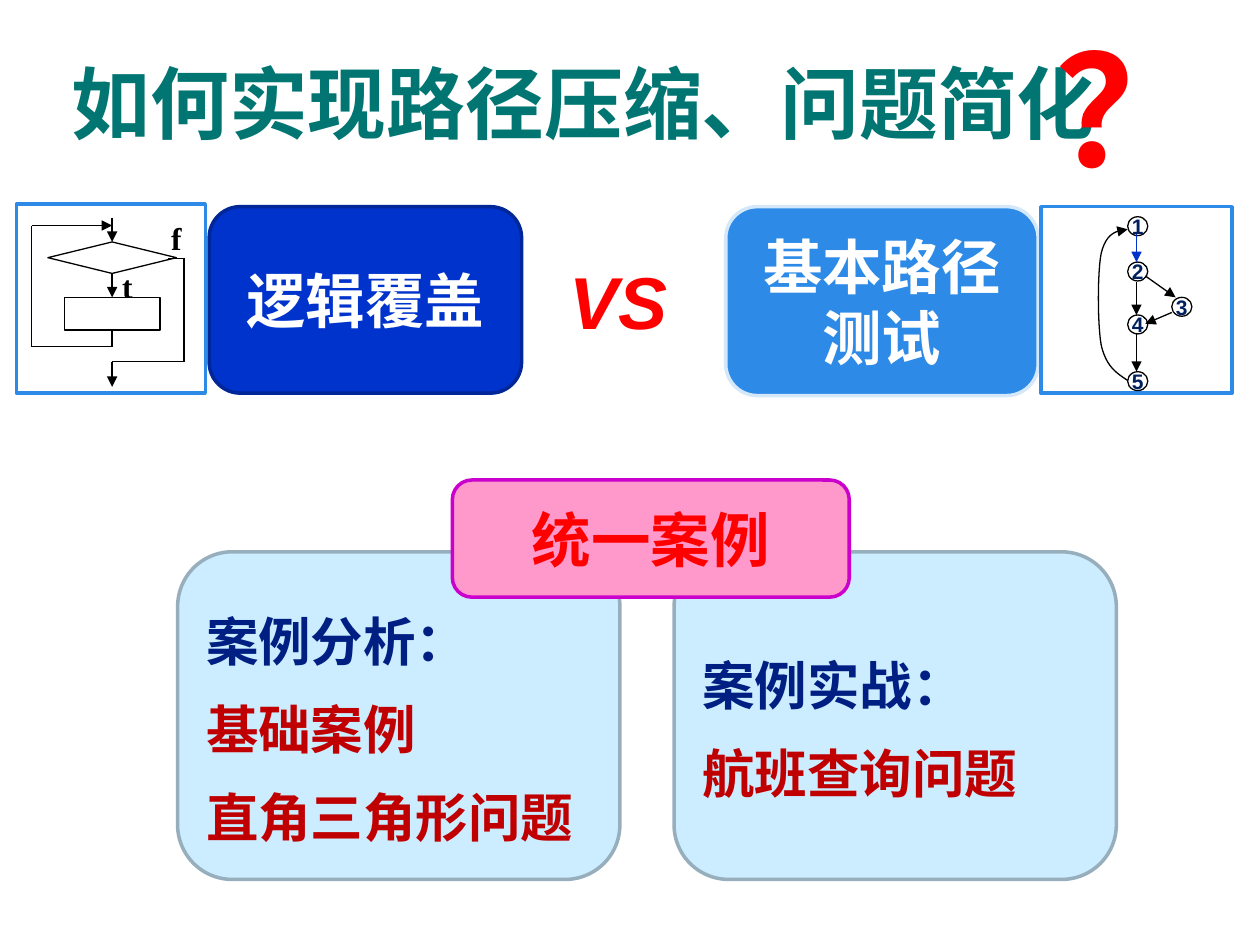
from lxml import etree
from pptx import Presentation
from pptx.dml.color import RGBColor
from pptx.enum.shapes import MSO_CONNECTOR, MSO_SHAPE
from pptx.enum.text import MSO_ANCHOR, PP_ALIGN
from pptx.oxml.ns import qn
from pptx.util import Inches, Pt

ROUND, RECT = MSO_SHAPE.ROUNDED_RECTANGLE, MSO_SHAPE.RECTANGLE
OVAL, CHOICE = MSO_SHAPE.OVAL, MSO_SHAPE.FLOWCHART_DECISION
STRAIGHT = MSO_CONNECTOR.STRAIGHT
TOP, MIDDLE = MSO_ANCHOR.TOP, MSO_ANCHOR.MIDDLE
LEFT, CENTER, JUSTIFY = PP_ALIGN.LEFT, PP_ALIGN.CENTER, PP_ALIGN.JUSTIFY
CJK = "Noto Sans CJK SC"
CELL = Inches(0.1)  # the slide is a grid of 100 columns by 75 rows
THIN, THICK = Pt(0.75), Pt(2)
BLACK, WHITE, RED, BLUE = "000000", "FFFFFF", "FF0000", "2D8AE7"
color = RGBColor.from_string


def put(shapes, kind, box, fill, edge, width=THICK):
    """Add a shape, or a text box when kind is None; box is in grid cells."""
    place = [round(v * CELL) for v in box]
    if kind is None:
        return shapes.add_textbox(*place)
    shape = shapes.add_shape(kind, *place)
    shape.shadow.inherit = False
    if fill:
        shape.fill.solid()
        shape.fill.fore_color.rgb = color(fill)
    else:
        shape.fill.background()
    shape.line.color.rgb = color(edge)
    shape.line.width = width
    return shape


def write(shape, lines, size, name=CJK, align=CENTER, anchor=MIDDLE,
          wrap=True, space=None, slant=False):
    """Fill a shape with bold paragraphs given as (text, colour) pairs."""
    frame = shape.text_frame
    frame.word_wrap, frame.vertical_anchor = wrap, anchor
    style = {"name": name, "size": Pt(size), "bold": True, "italic": slant}
    for i, (text, ink) in enumerate(lines):
        para = frame.add_paragraph() if i else frame.paragraphs[0]
        para.alignment = align
        para.line_spacing = space
        run = para.add_run()
        run.text = text
        for key, value in style.items():
            setattr(run.font, key, value)
        run.font.color.rgb = color(ink)
        etree.SubElement(run._r.get_or_add_rPr(), qn("a:ea"), typeface=CJK)


deck = Presentation()
deck.slide_width, deck.slide_height = 100 * CELL, 75 * CELL
page = deck.slides.add_slide(deck.slide_layouts[6]).shapes

# Heading
title = put(page, None, (4.7, 6, 83.5, 4.2), None, None)
write(title, [("如何实现路径压缩、问题简化", "007572")], 45, align=LEFT, wrap=False)

# Case panels
NAVY, DARK = "001F82", "C00000"
panels = [
    (14.1, [("案例分析：", NAVY), ("基础案例", DARK), ("直角三角形问题", DARK)]),
    (53.5, [("案例实战：", NAVY), ("航班查询问题", DARK)]),
]
for x, lines in panels:
    panel = put(page, ROUND, (x, 43.8, 35.1, 26), "CCECFF", "97AFBD")
    write(panel, lines, 30, "Arial", JUSTIFY, space=1.4)

mark = put(page, None, (82.8, 0.6, 8.7, 15.8), None, None)
write(mark, [("？", RED)], 88, align=LEFT, anchor=TOP)

# Logic coverage and its flow chart
logic = put(page, ROUND, (16.6, 16.4, 24.8, 14.8), "0033CC", "002697")
write(logic, [("逻辑覆盖", WHITE)], 34)
flow = page.add_group_shape().shapes
put(flow, RECT, (1.3, 16.2, 15, 15), WHITE, BLUE)
for text, x, y in [("f", 12.1, 17.3), ("t", 8.2, 21.1)]:
    label = put(flow, RECT, (x, y, 3.8, 3.2), WHITE, WHITE, THIN)
    write(label, [(text, BLACK)], 18, "Times New Roman", wrap=False)
put(flow, CHOICE, (3.8, 19.2, 10.2, 2.5), WHITE, BLACK, THIN)
put(flow, RECT, (5.1, 23.6, 7.6, 2.6), WHITE, BLACK, THIN)

# Basis path testing and its flow graph
basis = put(page, ROUND, (57.6, 16.4, 24.8, 15), BLUE, "D5E8FA")
write(basis, [("基本路径测试", WHITE)], 34)
graph = page.add_group_shape().shapes
put(graph, RECT, (82.6, 16.4, 15.2, 14.8), WHITE, BLUE)
spots = [(89.5, 17.2), (89.5, 20.8), (93, 23.6), (89.5, 25), (89.5, 29.5)]
for i, (x, y) in enumerate(spots, 1):
    node = put(graph, OVAL, (x, y, 1.6, 1.5), None, BLACK, THIN)
    write(node, [(str(i), "002060")], 12, "Arial", wrap=False)

# Routes: group, points, colour, whether the last stretch has an arrowhead
routes = [
    (flow, [(8.9, 21.7), (8.9, 23.6)], BLACK, True),
    (flow, [(8.9, 17.3), (8.9, 19.2)], BLACK, True),
    (flow, [(8.9, 26.2), (8.9, 27.5), (2.5, 27.5), (2.5, 17.9), (8.9, 17.9)],
     BLACK, True),
    (flow, [(13.3, 20.5), (14.6, 20.5), (14.6, 28.7), (8.9, 28.7), (8.9, 30.7)],
     BLACK, True),
    (graph, [(90.2, 18.6), (90.2, 20.8)], "0033CC", True),
    (graph, [(90.2, 22.4), (90.2, 25)], BLACK, True),
    (graph, [(90.9, 21.9), (93.3, 23.6)], BLACK, True),
    (graph, [(93, 24.8), (90.9, 25.7)], BLACK, True),
    (graph, [(90.2, 26.4), (90.2, 29.5)], BLACK, True),
]
tips = []
for group, points, ink, tip in routes:
    for start, end in zip(points, points[1:]):
        ends = [round(v * CELL) for v in start + end]
        wire = group.add_connector(STRAIGHT, *ends)
        wire.line.color.rgb = color(ink)
        wire.line.width = THIN
        etree.SubElement(wire._element.spPr, qn("a:effectLst"))
    if tip:
        tips.append(wire)

# Loop from node 5 back to node 1, three Bezier stretches end to end
bends = [(89.5, 30.2), (88.6, 29.6), (87.8, 29.1), (87.4, 27.4), (87.1, 25.7),
         (87.1, 21.6), (87.4, 20.1), (87.8, 18.5), (88.6, 18.3), (89.5, 18.2)]
STEPS = 12
curve = []
for k in range(0, len(bends) - 1, 3):
    for step in range(1, STEPS + 1):
        t = step / STEPS
        shares = ((1 - t) ** 3, 3 * t * (1 - t) ** 2, 3 * t * t * (1 - t), t ** 3)
        curve.append(tuple(CELL * sum(s * p[axis] for s, p in zip(shares, bends[k:k + 4]))
                           for axis in (0, 1)))
pen = graph.build_freeform(*(round(v * CELL) for v in bends[0]))
pen.add_line_segments(curve, close=False)
loop = pen.convert_to_shape()
loop.shadow.inherit = False
loop.fill.background()
loop.line.color.rgb = color(BLACK)
loop.line.width = THIN
for wire in tips + [loop]:
    etree.SubElement(wire._element.spPr.find(qn("a:ln")), qn("a:tailEnd"), type="triangle")

# Versus and shared case
versus = put(page, None, (44.2, 19.8, 13.4, 8.1), None, None)
write(versus, [("VS", RED)], 42, "Arial", LEFT, TOP, slant=True)
case = put(page, ROUND, (35.9, 38.1, 31.5, 9.3), "FF99CC", "CC00CC")
write(case, [("统一案例", RED)], 34)

deck.save("out.pptx")
